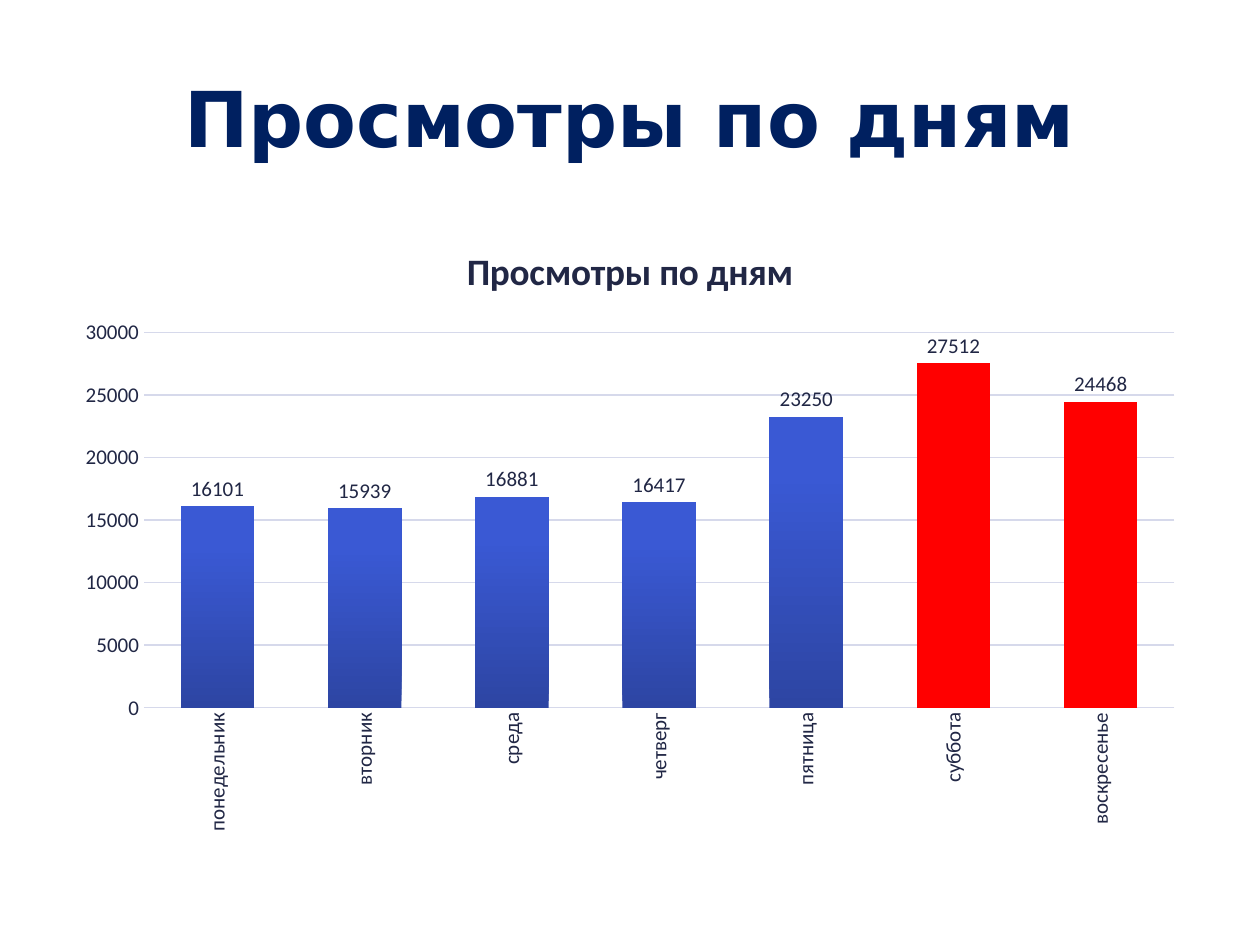
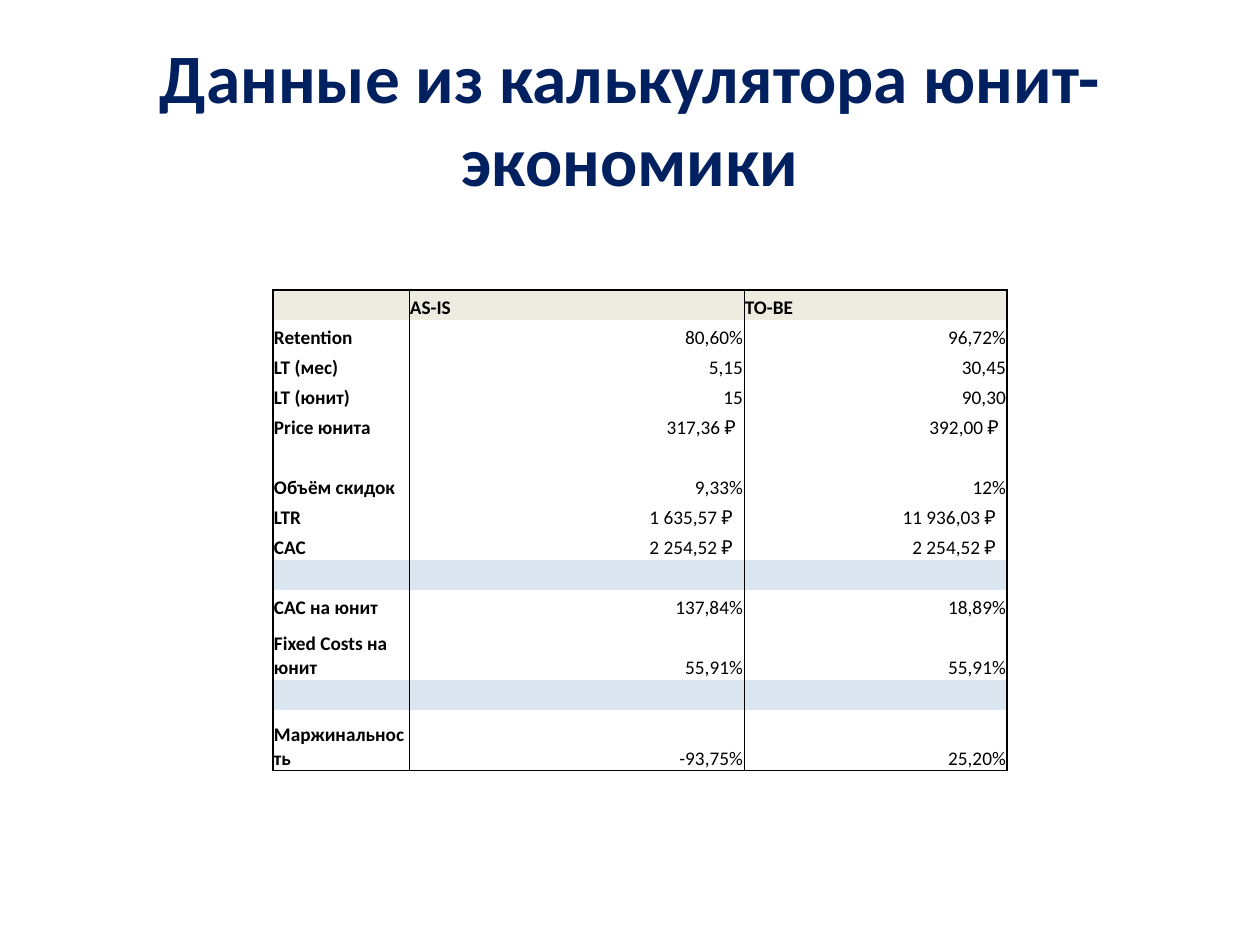
from copy import deepcopy

from lxml import etree
from pptx import Presentation
from pptx.chart.data import CategoryChartData
from pptx.dml.color import RGBColor
from pptx.enum.chart import XL_CHART_TYPE, XL_LABEL_POSITION, XL_TICK_MARK
from pptx.enum.text import MSO_ANCHOR, PP_ALIGN
from pptx.oxml.ns import qn
from pptx.util import Pt

NAVY = RGBColor(0x00, 0x20, 0x60)
INK = RGBColor(0x21, 0x27, 0x45)
GRID = RGBColor(0xD6, 0xD9, 0xEB)
RED = RGBColor(0xFF, 0x00, 0x00)
BLACK = RGBColor(0x00, 0x00, 0x00)
SAND = RGBColor(0xEE, 0xEC, 0xE1)
PALE = RGBColor(0xDC, 0xE6, 0xF1)
FADE = ((0, RGBColor(0x2D, 0x45, 0xA3)),
        (0.8, RGBColor(0x3A, 0x59, 0xD4)),
        (1, RGBColor(0x37, 0x58, 0xD7)))

COLUMN = XL_CHART_TYPE.COLUMN_CLUSTERED
OUTSIDE = XL_LABEL_POSITION.OUTSIDE_END
NO_TICK = XL_TICK_MARK.NONE
LEFT, CENTER, RIGHT = PP_ALIGN.LEFT, PP_ALIGN.CENTER, PP_ALIGN.RIGHT
MIDDLE, BOTTOM = MSO_ANCHOR.MIDDLE, MSO_ANCHOR.BOTTOM

DPI = 126
BODY = "Calibri"
NO_STYLE = "{2D5ABB26-0587-4C30-8999-92F81FD0307C}"
LABEL = {"name": BODY, "size": Pt(12), "color": INK, "bold": False}
CELL = {"name": BODY, "size": Pt(11), "color": BLACK, "bold": False}

VIEWS = {"понедельник": 16101, "вторник": 15939, "среда": 16881,
         "четверг": 16417, "пятница": 23250, "суббота": 27512,
         "воскресенье": 24468}
WEEKEND = (5, 6)

COLS = (136, 335, 263)
# Row height, right inset of the figures, cell texts
ROWS = (
    (30, 1, ("", "AS-IS", "TO-BE")),
    (30, 1, ("Retention", "80,60%", "96,72%")),
    (30, 1, ("LT (мес)", "5,15", "30,45")),
    (30, 1, ("LT (юнит)", "15", "90,30")),
    (30, 8, ("Price юнита", "317,36 ₽", "392,00 ₽")),
    (60, 1, ("Объём скидок", "9,33%", "12%")),
    (30, 11, ("LTR", "1 635,57 ₽", "11 936,03 ₽")),
    (30, 11, ("CAC", "2 254,52 ₽", "2 254,52 ₽")),
    (30, 1, ("", "", "")),
    (30, 1, ("CAC на юнит", "137,84%", "18,89%")),
    (60, 1, ("Fixed Costs на юнит", "55,91%", "55,91%")),
    (30, 1, ("", "", "")),
    (61, 1, ("Маржинальность", "-93,75%", "25,20%")),
)


def px(n):
    return round(n * 914400 / DPI)


def style(font, look):
    for key, value in look.items():
        if key == "color":
            font.color.rgb = value
        else:
            setattr(font, key, value)


def edge(cell, sides):
    """Draw cell borders; sides holds widths in points for L, R, T, B."""
    props = cell._tc.get_or_add_tcPr()
    for i, (side, width) in enumerate(sides.items()):
        line = etree.Element(qn(f"a:ln{side}"), w=str(Pt(width)))
        if width:
            fill = etree.SubElement(line, qn("a:solidFill"))
            etree.SubElement(fill, qn("a:srgbClr"), val=str(BLACK))
        else:
            etree.SubElement(line, qn("a:noFill"))
        props.insert(i, line)


class Deck:
    def __init__(self):
        self.prs = Presentation()
        self.prs.slide_width, self.prs.slide_height = px(1260), px(945)
        self.page = None

    def slide(self, title, size, font=BODY):
        self.page = self.prs.slides.add_slide(self.prs.slide_layouts[6])
        box = self.page.shapes.add_textbox(*map(px, (63, 38, 1134, 158)))
        frame = box.text_frame
        frame.word_wrap = True
        frame.vertical_anchor = MIDDLE
        para = frame.paragraphs[0]
        para.alignment = CENTER
        run = para.add_run()
        run.text = title
        style(run.font, {"name": font, "size": Pt(size), "color": NAVY, "bold": True})

    def chart(self, title, values, marked, place):
        data = CategoryChartData()
        data.categories = list(values)
        data.add_series("Series 1", list(values.values()))
        chart = self.page.shapes.add_chart(COLUMN, *map(px, place), data).chart
        style(chart.font, LABEL)
        chart.has_legend = False
        chart.has_title = True
        head = chart.chart_title.text_frame
        head.text = title
        style(head.paragraphs[0].runs[0].font, LABEL | {"size": Pt(21.3), "bold": True})
        self.axes(chart)

        plot = chart.plots[0]
        plot.gap_width, plot.overlap = 100, -24
        plot.vary_by_categories = False
        plot.has_data_labels = True
        labels = plot.data_labels
        labels.show_value = True
        labels.position = OUTSIDE
        style(labels.font, LABEL)
        self.bars(plot.series[0], marked)

    def axes(self, chart):
        days, count = chart.category_axis, chart.value_axis
        for axis in (days, count):
            axis.major_tick_mark = axis.minor_tick_mark = NO_TICK
            style(axis.tick_labels.font, LABEL)
        days._element.find(qn("c:txPr")).find(qn("a:bodyPr")).set("rot", "-5400000")
        count.minimum_scale, count.maximum_scale, count.major_unit = 0, 30000, 5000
        count.format.line.fill.background()
        for line in (days.format.line, count.major_gridlines.format.line):
            line.color.rgb = GRID
            line.width = Pt(0.75)

    def bars(self, series, marked):
        fill = series.format.fill
        fill.gradient()
        fill.gradient_angle = 90
        stops = next(series._element.iter(qn("a:gsLst")))
        stops.append(deepcopy(stops[0]))
        for stop, (pos, color) in zip(fill.gradient_stops, FADE):
            stop.position = pos
            stop.color.rgb = color
        for i in marked:
            spot = series.points[i].format.fill
            spot.solid()
            spot.fore_color.rgb = RED

    def table(self, rows, cols, left, top):
        high = sum(row[0] for row in rows)
        place = map(px, (left, top, sum(cols), high))
        frame = self.page.shapes.add_table(len(rows), len(cols), *place)
        grid = frame.table
        grid.first_row = grid.horz_banding = False
        grid._tbl.tblPr.find(qn("a:tableStyleId")).text = NO_STYLE
        for col, width in zip(grid.columns, cols):
            col.width = px(width)
        last = len(rows) - 1
        for r, (height, inset, texts) in enumerate(rows):
            grid.rows[r].height = px(height)
            tint = SAND if r == 0 else None if any(texts) else PALE
            for c, text in enumerate(texts):
                figure = r > 0 and c > 0
                cell = grid.cell(r, c)
                self.cell(cell, text, figure, inset if figure else 1, tint)
                edge(cell, {"L": 0.5 if c else 1,
                            "R": 0.5 if c < len(cols) - 1 else 1,
                            "T": int(r == 0), "B": int(r == last)})

    def cell(self, cell, text, figure, inset, tint):
        look = {"margin_left": px(1), "margin_top": px(1), "margin_bottom": 0,
                "margin_right": px(inset), "vertical_anchor": BOTTOM}
        for key, value in look.items():
            setattr(cell, key, value)
        para = cell.text_frame.paragraphs[0]
        para.alignment = RIGHT if figure else LEFT
        if text:
            run = para.add_run()
            run.text = text
            style(run.font, CELL | {"bold": not figure})
        else:
            etree.SubElement(para._p, qn("a:endParaRPr"), sz="1100")
        if tint:
            cell.fill.solid()
            cell.fill.fore_color.rgb = tint
        else:
            cell.fill.background()


def main():
    deck = Deck()
    deck.slide("Просмотры по дням", 44, "DejaVu Sans")
    deck.chart("Просмотры по дням", VIEWS, WEEKEND, (63, 220, 1134, 624))
    deck.slide("Данные из калькулятора юнит-экономики", 39.6)
    deck.table(ROWS, COLS, 273, 290)
    deck.prs.save("out.pptx")


if __name__ == "__main__":
    main()
